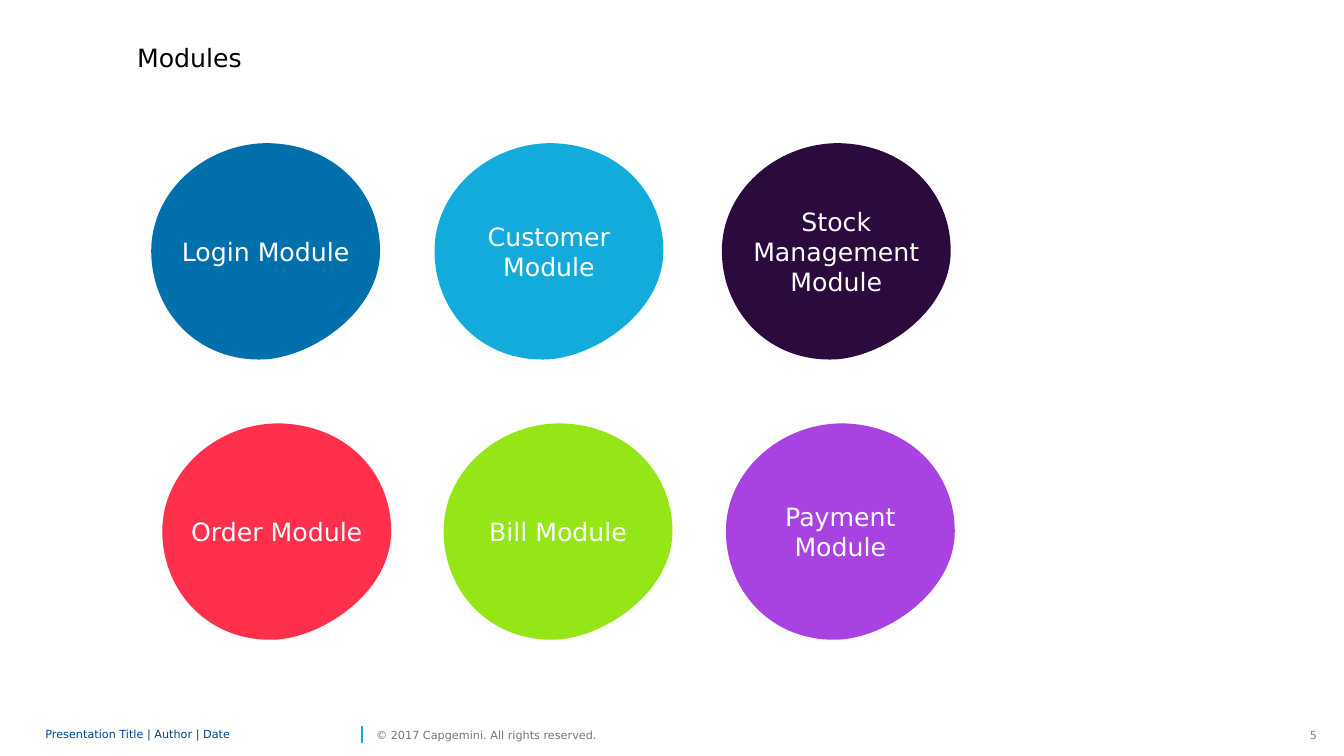
from lxml.etree import SubElement
from pptx import Presentation
from pptx.dml.color import RGBColor
from pptx.enum.shapes import MSO_CONNECTOR
from pptx.enum.text import MSO_ANCHOR, PP_ALIGN
from pptx.oxml.ns import qn
from pptx.util import Inches, Pt

FONT = "DejaVu Sans"
BLOB_W, BLOB_H = 2.27, 2.15
# Bezier points in thousandths of an inch from the blob's top left corner
BLOB_START = (0, 1070)
BLOB_CURVES = [
    (0, 480), (530, 10), (1135, 0),
    (1810, 0), (2270, 480), (2270, 1070),
    (2270, 1660), (1620, 2110), (1135, 2145),
    (455, 2180), (0, 1660), (0, 1070),
]
ROWS = [
    (1.42, [(1.5, "Login Module", "0070AD"),
            (4.31, "Customer Module", "12ABDB"),
            (7.16, "Stock Management Module", "2B0A3D")]),
    (4.2, [(1.61, "Order Module", "FF304C"),
           (4.4, "Bill Module", "95E616"),
           (7.2, "Payment Module", "A842E0")]),
]


def rgb(value):
    return RGBColor.from_string(value)


def set_text(tf, text, size, color, align=PP_ALIGN.LEFT,
             anchor=MSO_ANCHOR.MIDDLE, inset=0.0, wrap=True):
    tf.text = text
    tf.word_wrap = wrap
    tf.vertical_anchor = anchor
    tf.margin_left = tf.margin_right = Inches(inset)
    tf.margin_top = tf.margin_bottom = Inches(inset / 2)
    p = tf.paragraphs[0]
    p.alignment = align
    font = p.runs[0].font
    font.name, font.size = FONT, Pt(size)
    font.color.rgb = rgb(color)
    return p


def add_title(slide, x, y, w, h, text):
    title = slide.shapes.title
    title.left, title.top = Inches(x), Inches(y)
    title.width, title.height = Inches(w), Inches(h)
    set_text(title.text_frame, text, 18, "000000",
             anchor=MSO_ANCHOR.TOP, inset=0.1)


def curve_path(path):
    """Turn each three straight segments of the path into one Bezier curve."""
    lines = path.findall(qn("a:lnTo"))
    for i in range(0, len(lines), 3):
        curve = SubElement(path, qn("a:cubicBezTo"))
        for line in lines[i:i + 3]:
            curve.append(line[0])
            path.remove(line)
    path.append(path.find(qn("a:close")))


def add_blob(slide, x, y, text, color):
    builder = slide.shapes.build_freeform(*BLOB_START, scale=Inches(1) / 1000)
    builder.add_line_segments(BLOB_CURVES, close=True)
    sp = builder.convert_to_shape(Inches(x) , Inches(y))
    path = next(sp._element.iter(qn("a:path")))
    curve_path(path)
    path.set("h", str(round(BLOB_H * 1000)))
    sp.left, sp.top = Inches(x), Inches(y)
    sp.width, sp.height = Inches(BLOB_W), Inches(BLOB_H)
    sp.shadow.inherit = False
    sp.fill.solid()
    sp.fill.fore_color.rgb = rgb(color)
    sp.line.fill.background()
    set_text(sp.text_frame, text, 18, "FFFFFF", PP_ALIGN.CENTER, inset=0.15)


def add_label(slide, x, y, w, h, text, color, **options):
    box = slide.shapes.add_textbox(Inches(x), Inches(y), Inches(w), Inches(h))
    return set_text(box.text_frame, text, 8, color, **options)


def add_footer(slide, y, h):
    p = add_label(slide, 0.45, y, 3.09, h,
                  "Presentation Title | Author | Date", "00458D")
    p.line_spacing = 0.85
    add_label(slide, 3.73, y, 2.43, h,
              "© 2017 Capgemini. All rights reserved.", "767676", wrap=False)
    add_label(slide, 12.89, y, 0.27, h, "5", "808080",
              align=PP_ALIGN.RIGHT, inset=0.1, wrap=False)
    divider = slide.shapes.add_connector(
        MSO_CONNECTOR.STRAIGHT, Inches(3.59), Inches(y + 0.2),
        Inches(3.59), Inches(y + 0.03))
    divider.line.color.rgb = rgb("12ABDB")
    divider.line.width = Pt(1)
    SubElement(divider._element.spPr, qn("a:effectLst"))


def main():
    prs = Presentation()
    prs.slide_width, prs.slide_height = Inches(13.33), Inches(7.5)
    slide = prs.slides.add_slide(prs.slide_layouts[5])
    add_title(slide, 1.26, 0.37, 6.27, 0.4, "Modules")
    for y, modules in ROWS:
        for x, name, color in modules:
            add_blob(slide, x, y, name, color)
    add_footer(slide, 7.17, 0.24)
    prs.save("out.pptx")


if __name__ == "__main__":
    main()
